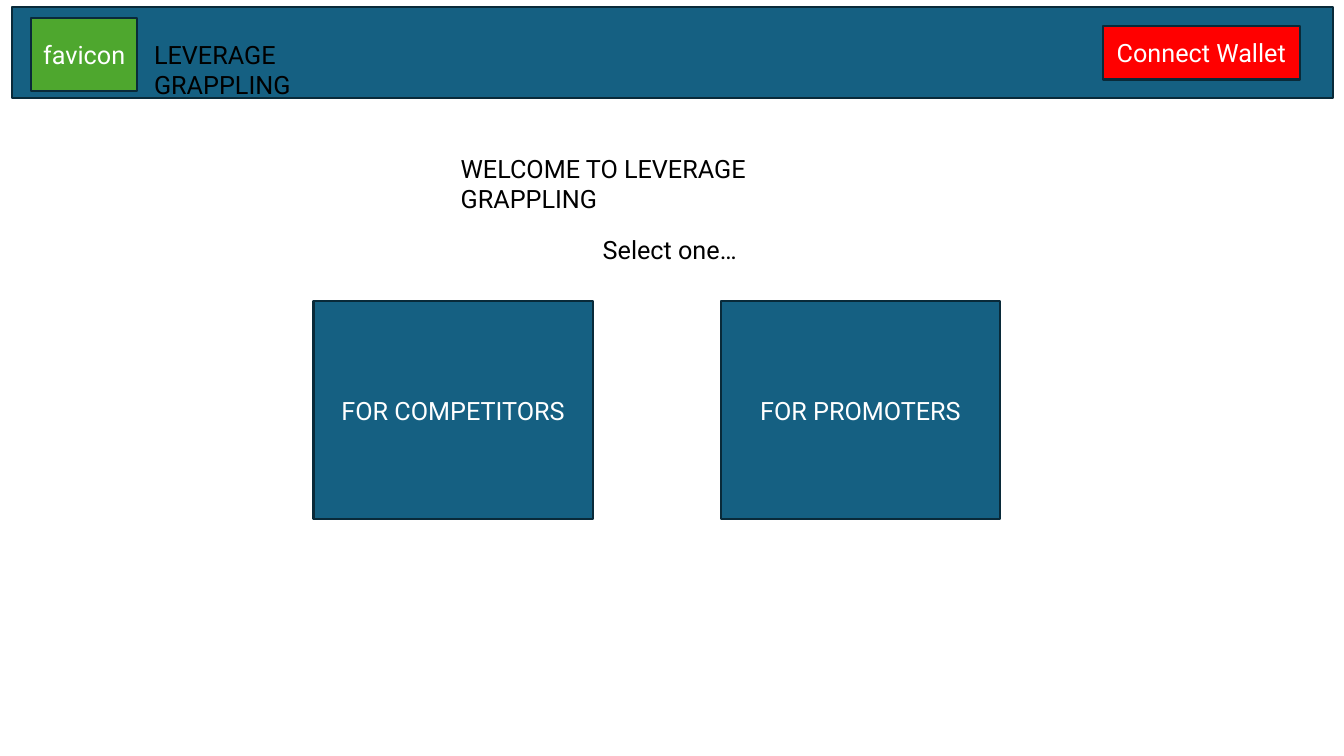
import pptx
import pptx.dml.color
import pptx.enum.shapes
import pptx.enum.text
import pptx.util
from pptx.util import Inches

NAVY = pptx.dml.color.RGBColor(0x15, 0x60, 0x82)
OUTLINE = pptx.dml.color.RGBColor(0x09, 0x2A, 0x39)
RED = pptx.dml.color.RGBColor(0xFF, 0x00, 0x00)
GREEN = pptx.dml.color.RGBColor(0x4E, 0xA7, 0x2E)
WHITE = pptx.dml.color.RGBColor(0xFF, 0xFF, 0xFF)
BLACK = pptx.dml.color.RGBColor(0x00, 0x00, 0x00)

deck = pptx.Presentation()
deck.slide_width = Inches(13.33)
deck.slide_height = Inches(7.5)
page = deck.slides.add_slide(deck.slide_layouts[6])


def write(box, text, color):
    span = box.text_frame.paragraphs[0].add_run()
    span.text = text
    span.font.name = "Roboto"
    span.font.size = pptx.util.Pt(18)
    span.font.color.rgb = color


def add_panel(left, top, width, height, fill, text=None):
    panel = page.shapes.add_shape(
        pptx.enum.shapes.MSO_SHAPE.RECTANGLE,
        Inches(left), Inches(top), Inches(width), Inches(height))
    panel.shadow.inherit = False
    panel.fill.solid()
    panel.fill.fore_color.rgb = fill
    panel.line.color.rgb = OUTLINE
    panel.line.width = pptx.util.Pt(1.5)
    if text:
        panel.text_frame.vertical_anchor = pptx.enum.text.MSO_ANCHOR.MIDDLE
        panel.text_frame.paragraphs[0].alignment = pptx.enum.text.PP_ALIGN.CENTER
        write(panel, text, WHITE)


add_panel(0.12, 0.07, 13.1, 0.9, NAVY)
for left, audience in ((3.11, "FOR COMPETITORS"), (7.15, "FOR PROMOTERS")):
    add_panel(left, 2.99, 2.77, 2.16, NAVY, audience)
add_panel(10.94, 0.26, 1.95, 0.53, RED, "Connect Wallet")
add_panel(0.31, 0.18, 1.05, 0.72, GREEN, "favicon")

labels = (
    (4.47, 1.47, 4.39, True, "WELCOME TO LEVERAGE GRAPPLING"),
    (5.88, 2.28, 1.56, False, "Select one…"),
    (1.43, 0.34, 2.77, True, "LEVERAGE GRAPPLING"),
)
for left, top, width, wrap, text in labels:
    label = page.shapes.add_textbox(
        Inches(left), Inches(top), Inches(width), Inches(0.4))
    label.text_frame.word_wrap = wrap
    label.text_frame.auto_size = pptx.enum.text.MSO_AUTO_SIZE.SHAPE_TO_FIT_TEXT
    write(label, text, BLACK)

deck.save("out.pptx")
